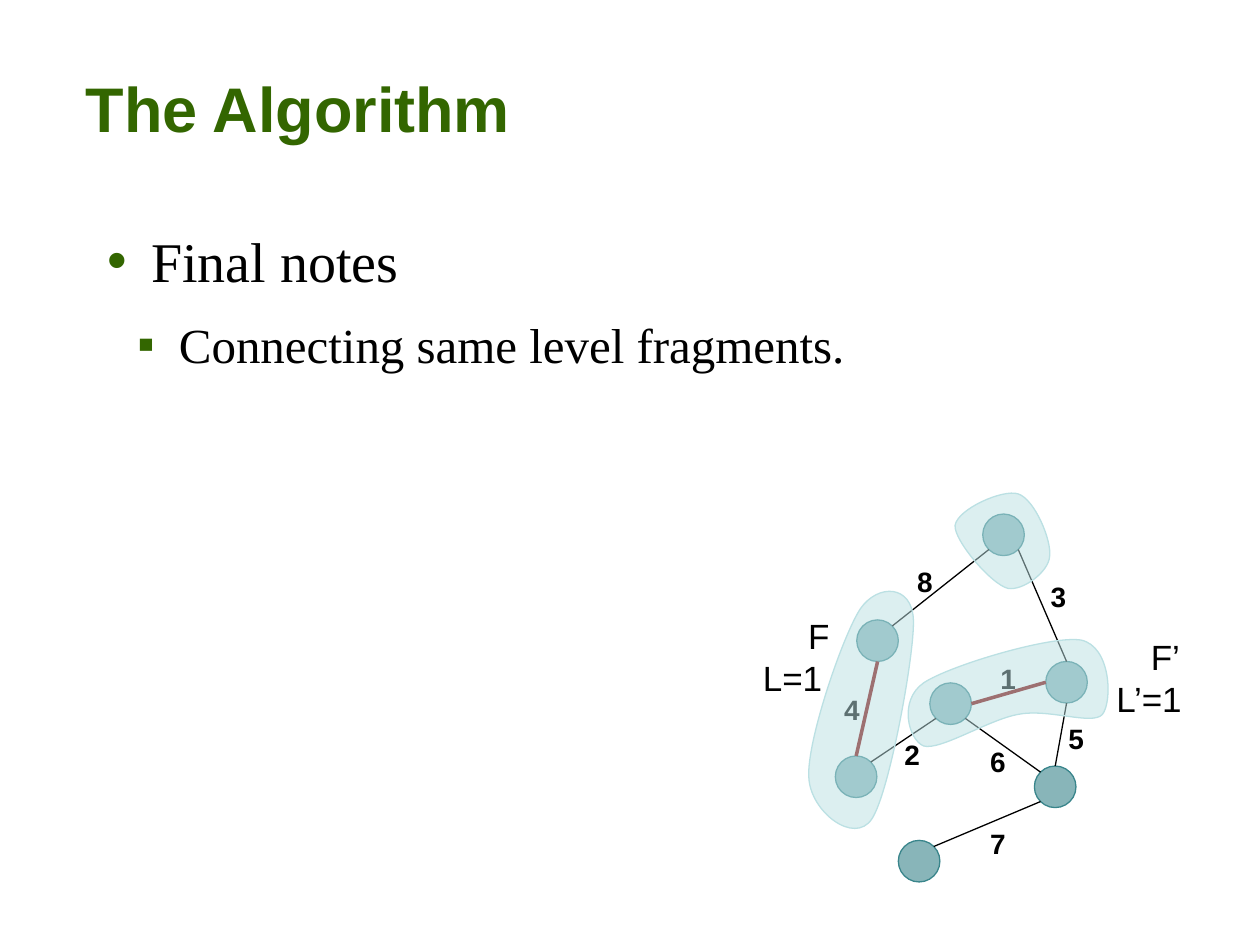
from math import cos, radians, sin

from lxml.etree import SubElement
from pptx import Presentation
from pptx.dml.color import RGBColor
from pptx.enum.shapes import MSO_CONNECTOR as Connector, MSO_SHAPE as Shape
from pptx.enum.text import MSO_ANCHOR as Anchor, MSO_AUTO_SIZE as AutoSize, PP_ALIGN as Align
from pptx.oxml.ns import qn
from pptx.util import Inches, Pt

COLORS = {"heading": "336600", "text": "000000", "node": "39858B",
          "edge": "000000", "tree_edge": "800000", "fragment": "BBE0E3"}

TITLE = "The Algorithm"
# text, level, size, space before, left margin, hanging indent, bullet
NOTES = [
    ("Final notes", 0, 32, 0, 0.35, 0.35, "•"),
    ("Connecting same level fragments.", 1, 28, 11.6, 0.57, 0.33, "▪"),
]

NODE_SIZE = 0.33
NODES = {  # left, top
    "top": (7.8, 4.08), "upper left": (6.8, 4.92), "lower left": (6.63, 6),
    "middle": (7.38, 5.42), "right": (8.3, 5.25), "lower right": (8.21, 6.08),
    "bottom": (7.13, 6.67),
}
# An ellipse has eight connection sites, counter-clockwise from its top.
SITES = ["N", "NW", "W", "SW", "S", "SE", "E", "NE"]
EDGES = [  # weight, from node and site, to node and site, in tree, label centre
    ("8", "upper left", "NE", "top", "SW", False, (7.34, 4.61)),
    ("1", "middle", "E", "right", "W", True, (8.0, 5.38)),
    ("3", "right", "N", "top", "SE", False, (8.4, 4.73)),
    ("2", "middle", "SW", "lower left", "NE", False, (7.24, 5.99)),
    ("6", "middle", "SE", "lower right", "NW", False, (7.92, 6.04)),
    ("5", "lower right", "N", "right", "S", False, (8.54, 5.86)),
    ("7", "lower right", "SW", "bottom", "NE", False, (7.92, 6.69)),
    ("4", "lower left", "N", "upper left", "S", True, (6.76, 5.63)),
]
FRAGMENTS = [  # start point, then Bézier curves of two controls and an end
    [(7.58, 4.17),
     (7.6, 4.04), (7.96, 3.88), (8.08, 3.92),
     (8.21, 3.96), (8.35, 4.29), (8.33, 4.42),
     (8.32, 4.54), (8.12, 4.69), (8, 4.67),
     (7.87, 4.64), (7.57, 4.29), (7.58, 4.17)],
    [(6.83, 4.83),
     (6.97, 4.63), (7.24, 4.64), (7.25, 4.92),
     (7.26, 5.19), (7.06, 6.29), (6.92, 6.5),
     (6.78, 6.71), (6.43, 6.44), (6.42, 6.17),
     (6.4, 5.89), (6.69, 5.04), (6.83, 4.83)],
    [(7.33, 5.42),
     (7.13, 5.56), (7.21, 5.87), (7.33, 5.92),
     (7.46, 5.96), (7.85, 5.71), (8.08, 5.67),
     (8.32, 5.62), (8.67, 5.76), (8.75, 5.67),
     (8.83, 5.57), (8.82, 5.13), (8.58, 5.08),
     (8.35, 5.04), (7.54, 5.28), (7.33, 5.42)],
]
FRAGMENT_LABELS = [  # text, centre, box size
    ("L=1", (6.29, 5.38), (0.58, 0.58)),
    ("L’=1", (9.12, 5.54), (0.58, 0.58)),
    ("F", (6.5, 5.04), (0.33, 0.42)),
    ("F’", (9.25, 5.21), (0.33, 0.42)),
]


def color(name):
    return RGBColor.from_string(COLORS[name])


def place(shape, left, top, width, height):
    shape.left, shape.top = Inches(left), Inches(top)
    shape.width, shape.height = Inches(width), Inches(height)


def add_run(paragraph, text, font_name, size, color_name="text", bold=False):
    run = paragraph.add_run()
    run.text = text
    run.font.name, run.font.size, run.font.bold = font_name, Pt(size), bold
    run.font.color.rgb = color(color_name)


def set_bullet(paragraph, character, margin, hanging):
    properties = paragraph._p.get_or_add_pPr()
    properties.set("marL", str(Inches(margin)))
    properties.set("indent", str(-Inches(hanging)))
    bullet_color = SubElement(properties, qn("a:buClr"))
    SubElement(bullet_color, qn("a:srgbClr"), val=COLORS["heading"])
    SubElement(properties, qn("a:buFont"), typeface="Arial")
    SubElement(properties, qn("a:buChar"), char=character)


def paint(shape, color_name, opacity):
    shape.shadow.inherit = False
    shape.fill.solid()
    shape.fill.fore_color.rgb = color(color_name)
    fill_color = shape._element.spPr.find(qn("a:solidFill"))[0]
    SubElement(fill_color, qn("a:alpha"), val=str(opacity * 1000))
    shape.line.color.rgb = color(color_name)
    shape.line.width = Pt(0.75)


def site_point(node, site):
    angle = radians(90 + 45 * SITES.index(site))
    radius = NODE_SIZE / 2
    left, top = NODES[node]
    return (Inches(left + radius * (1 + cos(angle))),
            Inches(top + radius * (1 - sin(angle))))


def add_edge(slide, shapes, ends, in_tree):
    points = [site_point(node, site) for node, site in ends]
    edge = slide.shapes.add_connector(Connector.STRAIGHT, *points[0], *points[1])
    edge.line.color.rgb = color("tree_edge" if in_tree else "edge")
    edge.line.width = Pt(2 if in_tree else 0.75)
    SubElement(edge._element.spPr, qn("a:effectLst"))
    joints = edge._element.find(".//" + qn("p:cNvCxnSpPr"))
    for tag, (node, site) in zip(("a:stCxn", "a:endCxn"), ends):
        SubElement(joints, qn(tag), id=str(shapes[node].shape_id),
                   idx=str(SITES.index(site)))


def add_label(slide, text, centre, box, size, bold=False):
    label = slide.shapes.add_textbox(0, 0, 0, 0)
    place(label, centre[0] - box[0] / 2, centre[1] - box[1] / 2, *box)
    frame = label.text_frame
    frame.word_wrap = False
    frame.margin_left = frame.margin_right = 0
    frame.vertical_anchor = Anchor.MIDDLE
    paragraph = frame.paragraphs[0]
    paragraph.alignment = Align.CENTER
    add_run(paragraph, text, "Arial", size, bold=bold)


def add_fragment(slide, points):
    """Draw the points as line segments, then join each three into a curve."""
    start, *others = [(Inches(x), Inches(y)) for x, y in points]
    builder = slide.shapes.build_freeform(*start)
    builder.add_line_segments(others, close=True)
    fragment = builder.convert_to_shape()
    outline = fragment._element.find(".//" + qn("a:path"))
    segments = outline.findall(qn("a:lnTo"))
    closing = outline.find(qn("a:close"))
    for i in range(0, len(others), 3):
        curve = SubElement(outline, qn("a:cubicBezTo"))
        for segment in segments[i:i + 3]:
            curve.append(segment[0])
            outline.remove(segment)
    outline.append(closing)
    paint(fragment, "fragment", 50)


def add_heading_and_notes(slide):
    title, body = slide.shapes.title, slide.placeholders[1]
    place(title, 0.58, 0.5, 8.92, 0.7)
    place(body, 0.75, 1.75, 8.5, 1.26)
    for holder in (title, body):
        frame = holder.text_frame
        frame.auto_size = AutoSize.NONE
        frame.vertical_anchor = Anchor.TOP
        frame.margin_top = Inches(0.05)
    heading = title.text_frame.paragraphs[0]
    heading.alignment = Align.LEFT
    add_run(heading, TITLE, "Arial", 36, "heading", bold=True)
    frame = body.text_frame
    for i, (text, level, size, before, margin, hanging, bullet) in enumerate(NOTES):
        paragraph = frame.add_paragraph() if i else frame.paragraphs[0]
        paragraph.level = level
        paragraph.space_before = Pt(before)
        set_bullet(paragraph, bullet, margin, hanging)
        add_run(paragraph, text, "Times New Roman", size)


def main():
    presentation = Presentation()
    presentation.slide_width, presentation.slide_height = Inches(10), Inches(7.5)
    slide = presentation.slides.add_slide(presentation.slide_layouts[1])
    add_heading_and_notes(slide)

    shapes = {}
    for name, (left, top) in NODES.items():
        node = slide.shapes.add_shape(Shape.OVAL, 0, 0, 0, 0)
        place(node, left, top, NODE_SIZE, NODE_SIZE)
        paint(node, "node", 60)
        shapes[name] = node
    for _, start, start_site, end, end_site, in_tree, _ in EDGES:
        add_edge(slide, shapes, [(start, start_site), (end, end_site)], in_tree)
    for weight, *_, centre in EDGES:
        add_label(slide, weight, centre, (0.25, 0.42), 16, bold=True)
    for points in FRAGMENTS:
        add_fragment(slide, points)
    for text, centre, box in FRAGMENT_LABELS:
        add_label(slide, text, centre, box, 20)
    presentation.save("out.pptx")


if __name__ == "__main__":
    main()
